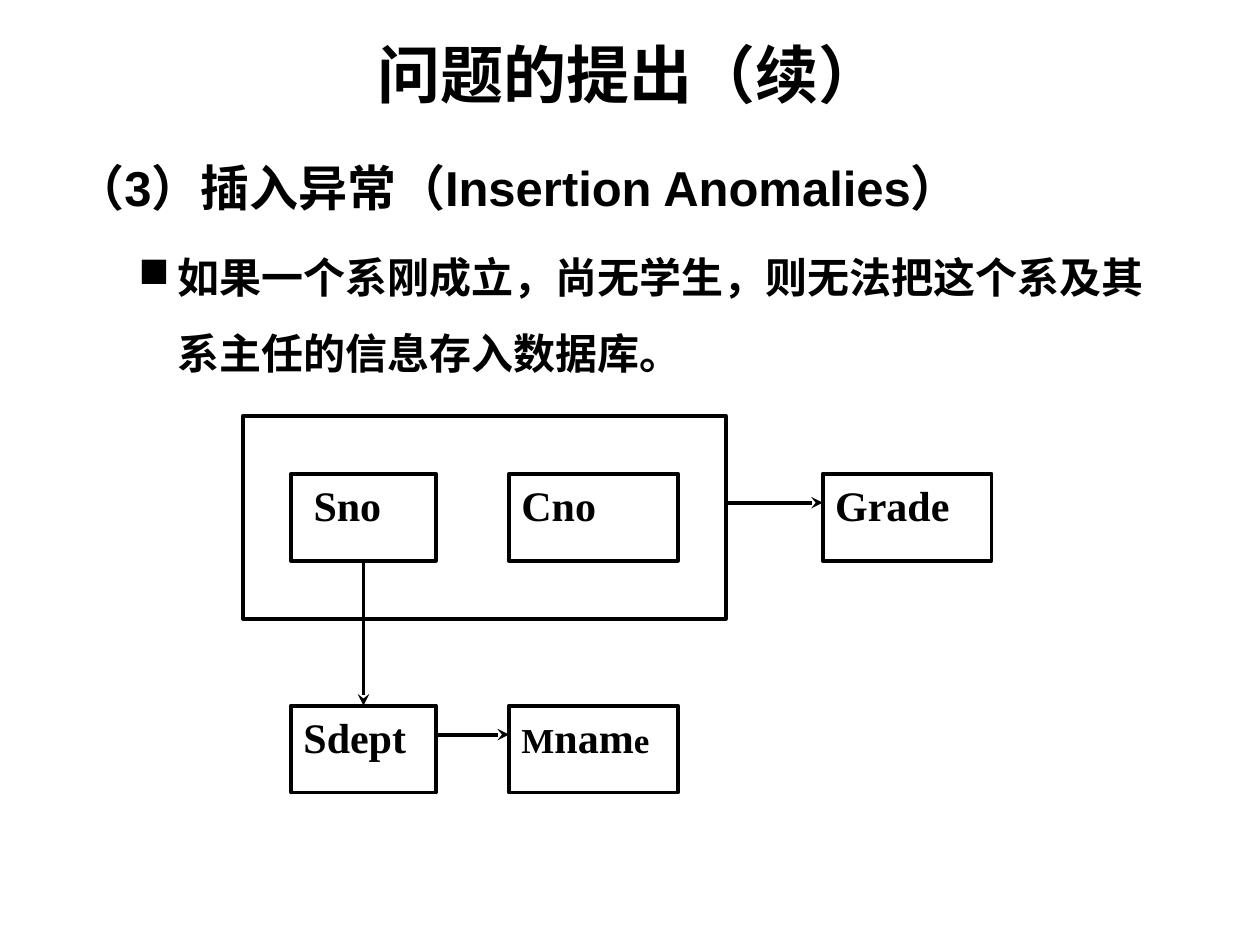
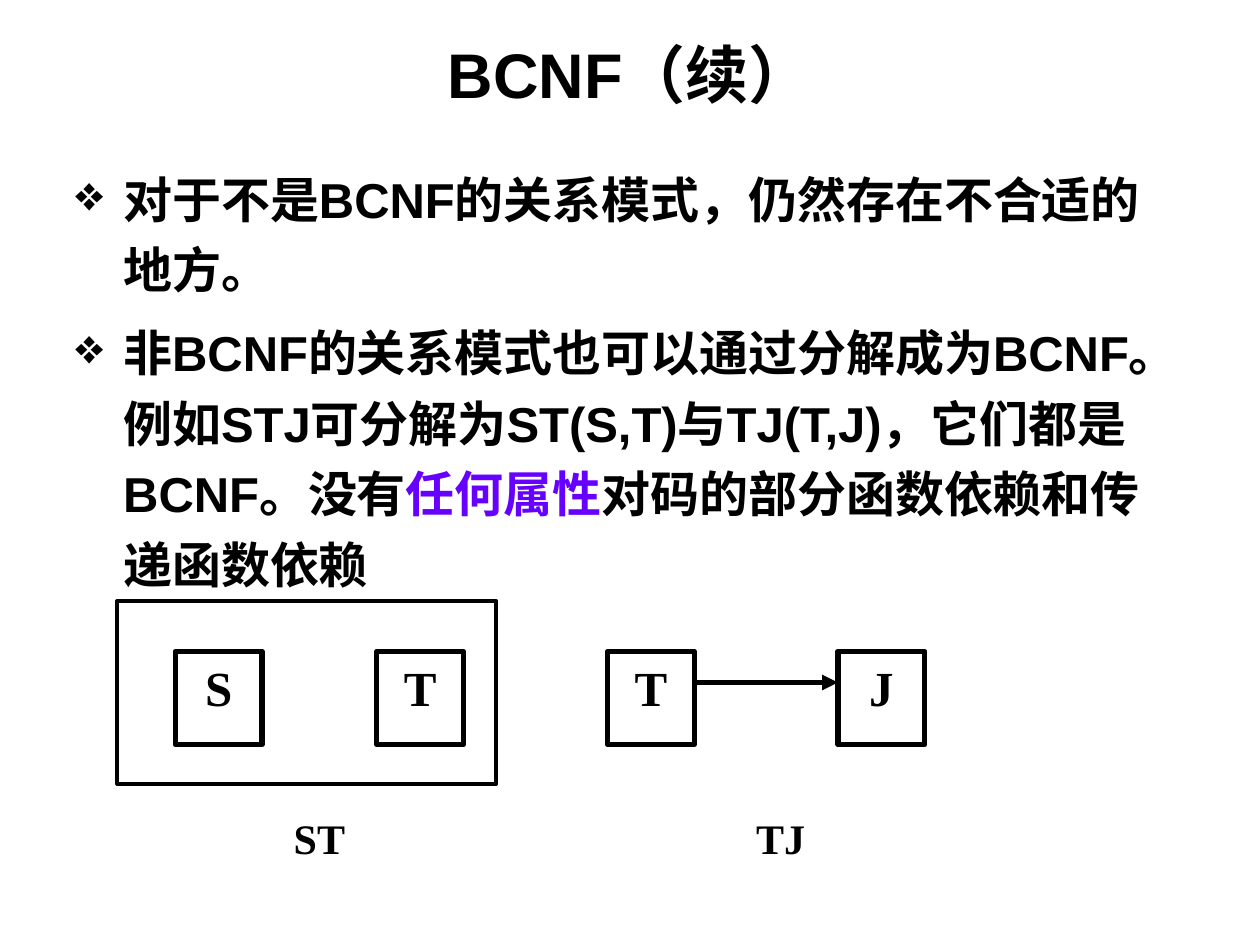
from collections import namedtuple
from dataclasses import dataclass

from lxml.etree import SubElement
from pptx import Presentation
from pptx.dml.color import RGBColor
from pptx.enum.shapes import MSO_CONNECTOR, MSO_SHAPE
from pptx.enum.text import MSO_ANCHOR, PP_ALIGN
from pptx.oxml.ns import qn
from pptx.util import Inches, Pt

Area = namedtuple("Area", "left top width height")


@dataclass(frozen=True)
class Theme:
    """Colours, fonts, type sizes and line widths of the deck."""

    ink: RGBColor = RGBColor(0x00, 0x00, 0x00)
    accent: RGBColor = RGBColor(0x66, 0x00, 0xFF)
    prose_font: str = "Arial"
    diagram_font: str = "Times New Roman"
    title: int = 36
    heading: int = 28
    label: int = 24
    small: int = 20
    line: float = 2.25
    thick_line: float = 3


class Deck:
    """Draws on the current slide in a grid of 100 columns by 75 rows."""

    columns, rows = 100, 75

    def __init__(self, theme):
        self.theme = theme
        self.presentation = Presentation()
        self.presentation.slide_width = Inches(10)
        self.presentation.slide_height = Inches(7.5)
        self.slide = None

    def grid(self, column, row):
        """Turn a grid position or extent into slide lengths."""
        return (round(column * self.presentation.slide_width / self.columns),
                round(row * self.presentation.slide_height / self.rows))

    def bounds(self, area):
        """Turn a grid area into slide lengths."""
        return (*self.grid(area.left, area.top), *self.grid(area.width, area.height))

    def new_slide(self, title):
        """Start a slide with its centred title."""
        self.slide = self.presentation.slides.add_slide(self.presentation.slide_layouts[6])
        frame = self.text_frame(Area(5, -0.4, 90, 12.4))
        frame.vertical_anchor = MSO_ANCHOR.MIDDLE
        self.typeset(frame.paragraphs[0], title, self.theme.title, self.theme.prose_font,
                     PP_ALIGN.CENTER)

    def text_frame(self, area):
        """Add a wrapping text box."""
        frame = self.slide.shapes.add_textbox(*self.bounds(area)).text_frame
        frame.word_wrap = True
        return frame

    def typeset(self, paragraph, content, size, family, align=PP_ALIGN.LEFT):
        """Set a string, or (text, colour, size) pieces, in one paragraph."""
        pieces = [(content, None, None)] if isinstance(content, str) else content
        for words, colour, own_size in pieces:
            run = paragraph.add_run()
            run.text = words
            if colour is not None:
                run.font.color.rgb = colour
            if own_size:
                run.font.size = Pt(own_size)
        paragraph.alignment = align
        paragraph.font.size = Pt(size)
        paragraph.font.name = family
        paragraph.font.bold = True
        paragraph.font.color.rgb = self.theme.ink

    def indent(self, paragraph, margin, hanging=0, bullet=None):
        """Set the left margin, hanging indent and bullet, in columns."""
        properties = paragraph._p.get_or_add_pPr()
        properties.set("marL", str(self.grid(margin, 0)[0]))
        properties.set("indent", str(-self.grid(hanging, 0)[0]))
        if bullet:
            SubElement(properties, qn("a:buChar")).set("char", bullet)

    def body(self, items):
        """Add body paragraphs of (content, size, margin, hanging, bullet, spacing, before)."""
        frame = self.text_frame(Area(5, 12, 90, 55.7))
        for index, (content, size, margin, hanging, bullet, spacing, before) in enumerate(items):
            paragraph = frame.add_paragraph() if index else frame.paragraphs[0]
            self.indent(paragraph, margin, hanging, bullet)
            self.typeset(paragraph, content, size, self.theme.prose_font)
            paragraph.line_spacing = spacing
            if index:
                paragraph.space_before = Pt(before)

    def box(self, area, content=None, size=None, weight=None, align=PP_ALIGN.JUSTIFY, margin=0):
        """Add an outlined box, labelled at the top, and return its area."""
        outline = self.slide.shapes.add_shape(MSO_SHAPE.RECTANGLE, *self.bounds(area))
        outline.shadow.inherit = False
        outline.fill.background()
        outline.line.color.rgb = self.theme.ink
        outline.line.width = Pt(weight or self.theme.line)
        if content:
            frame = outline.text_frame
            frame.word_wrap = True
            frame.vertical_anchor = MSO_ANCHOR.TOP
            self.indent(frame.paragraphs[0], margin)
            self.typeset(frame.paragraphs[0], content, size or self.theme.label,
                         self.theme.diagram_font, align)
        return area

    def caption(self, area, content):
        """Add a centred diagram caption."""
        self.typeset(self.text_frame(area).paragraphs[0], content, self.theme.label,
                     self.theme.diagram_font, PP_ALIGN.CENTER)

    def arrow(self, start, end, head, weight):
        """Draw an arrow between two grid points."""
        link = self.slide.shapes.add_connector(
            MSO_CONNECTOR.STRAIGHT, *self.grid(*start), *self.grid(*end))
        link.line.color.rgb = self.theme.ink
        link.line.width = Pt(weight)
        properties = link.element.spPr
        SubElement(properties.find(qn("a:ln")), qn("a:tailEnd")).set("type", head)
        SubElement(properties, qn("a:effectLst"))

    def arrow_right(self, source, target, head="stealth", weight=None):
        """Join two areas a third of the way down the target."""
        height = target.top + target.height / 3
        self.arrow((source.left + source.width, height), (target.left, height),
                   head, weight or self.theme.line)

    def arrow_down(self, source, target):
        """Join two stacked areas along their centre."""
        centre = source.left + source.width / 2
        self.arrow((centre, source.top + source.height), (centre, target.top),
                   "stealth", self.theme.line)


def insertion_anomalies(deck):
    """Build the slide on insertion anomalies."""
    theme = deck.theme
    deck.new_slide("问题的提出（续）")
    deck.body([
        ("（3）插入异常（Insertion Anomalies）", theme.heading, 3.8, 3.8, None, 1.0, 7),
        ("如果一个系刚成立，尚无学生，则无法把这个系及其系主任的信息存入数据库。",
         theme.label, 8.1, 3.1, "■", 1.5, 6),
    ])
    narrow, wide, height = 11.5, 13.4, 6.9
    first, second, third = 23.1, 40.4, 65.3
    upper, lower = 37.6, 56
    key = deck.box(Area(19.3, 33, 38.3, 16.1))
    sno = deck.box(Area(first, upper, narrow, height), "Sno", margin=0.8)
    deck.box(Area(second, upper, wide, height), "Cno")
    sdept = deck.box(Area(first, lower, narrow, height), "Sdept")
    mname = deck.box(Area(second, lower, wide, height),
                     [("M", None, theme.small), ("nam", None, None), ("e", None, theme.small)])
    grade = deck.box(Area(third, upper, wide, height), "Grade")
    deck.arrow_down(sno, sdept)
    deck.arrow_right(sdept, mname)
    deck.arrow_right(key, grade)


def bcnf(deck):
    """Build the slide on decomposition into BCNF."""
    theme = deck.theme
    deck.new_slide("BCNF（续）")
    points = [
        "对于不是BCNF的关系模式，仍然存在不合适的地方。",
        [("非BCNF的关系模式也可以通过分解成为BCNF。例如STJ可分解为ST(S,T)与TJ(T,J)，"
          "它们都是BCNF。没有", None, None),
         ("任何属性", theme.accent, None),
         ("对码的部分函数依赖和传递函数依赖", None, None)],
    ]
    deck.body([(point, theme.heading, 3.8, 3.8, "❖", 1.2, 7) for point in points])
    attributes = [
        deck.box(Area(left, 51.7, 6.9, 7.4), letter, theme.heading, theme.thick_line,
                 PP_ALIGN.CENTER)
        for letter, left in zip("STTJ", (13.9, 29.9, 48.2, 66.5))
    ]
    deck.arrow_right(*attributes[2:], head="triangle", weight=theme.thick_line)
    for relation, left in (("ST", 20.8), ("TJ", 57.4)):
        deck.caption(Area(left, 64, 9.1, 7.4), relation)
    deck.box(Area(9.3, 47.7, 30.1, 14.5))


def main():
    """Build and save the deck."""
    deck = Deck(Theme())
    insertion_anomalies(deck)
    bcnf(deck)
    deck.presentation.save("out.pptx")


if __name__ == "__main__":
    main()
